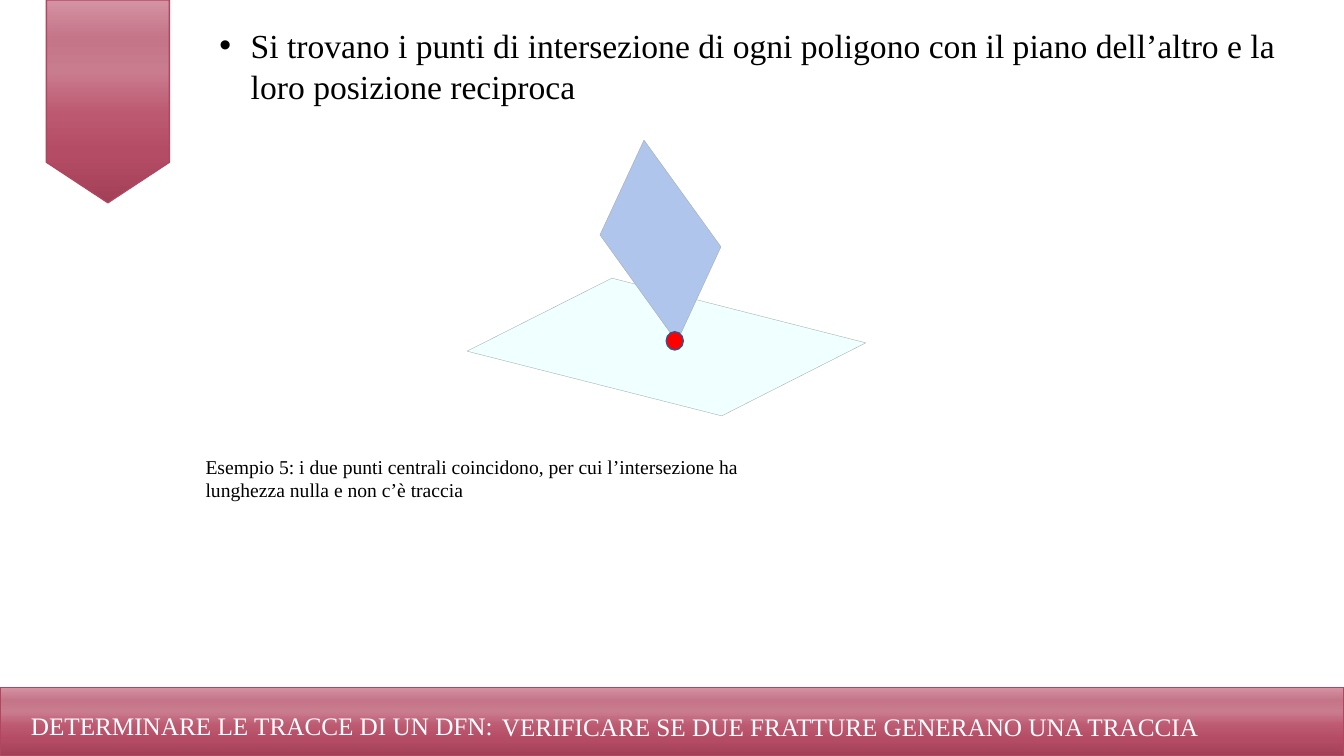
"""Build the slide on polygon intersections in a DFN."""
from dataclasses import dataclass

from lxml import etree
from pptx import Presentation
from pptx.dml.color import RGBColor
from pptx.enum.shapes import MSO_SHAPE
from pptx.oxml.ns import qn
from pptx.shapes.autoshape import Shape
from pptx.slide import Slide
from pptx.util import Cm, Pt

RIBBON = MSO_SHAPE.FLOWCHART_OFFPAGE_CONNECTOR
RECTANGLE = MSO_SHAPE.RECTANGLE
ELLIPSE = MSO_SHAPE.OVAL

WHITE = RGBColor(0xFF, 0xFF, 0xFF)
BLACK = RGBColor(0x00, 0x00, 0x00)
RED = RGBColor(0xFF, 0x00, 0x00)
NAVY = RGBColor(0x32, 0x54, 0x91)
CRIMSON = RGBColor(0xB0, 0x46, 0x5F)
GREY = RGBColor(0xA0, 0xAC, 0xAE)
PALE_CYAN = RGBColor(0xF0, 0xFF, 0xFF)
PERIWINKLE = RGBColor(0xB0, 0xC5, 0xEB)
CRIMSON_STOPS = (
    (0, RGBColor(0xA2, 0x40, 0x57)),
    (25, RGBColor(0xB4, 0x4C, 0x65)),
    (43, RGBColor(0xBC, 0x58, 0x70)),
    (65, RGBColor(0xCA, 0x7C, 0x8F)),
    (81, RGBColor(0xC5, 0x75, 0x88)),
    (99, RGBColor(0xD3, 0x91, 0xA1)),
)
FONT = "Times New Roman"


@dataclass(frozen=True)
class Box:
    """Position and size in centimetres."""
    left: float
    top: float
    width: float
    height: float

    def lengths(self) -> tuple[Cm, Cm, Cm, Cm]:
        """Return the four values as lengths."""
        return Cm(self.left), Cm(self.top), Cm(self.width), Cm(self.height)


@dataclass(frozen=True)
class Plane:
    """A fracture plane given by its corners in centimetres."""
    corners: tuple[tuple[float, float], ...]
    color: RGBColor


BANNERS = (
    (RIBBON, Box(1.17, 0, 3.1, 5.11)),
    (RECTANGLE, Box(0, 17.32, 33.87, 1.73)),
)
PLANES = (
    Plane(((15.42, 7.01), (21.82, 8.64), (18.19, 10.48), (11.77, 8.85)), PALE_CYAN),
    Plane(((16.23, 3.53), (18.17, 6.22), (17.06, 8.62), (15.12, 5.92)), PERIWINKLE),
)


def set_outline(shape: Shape, color: RGBColor, width: float) -> None:
    """Remove the shadow and set the line."""
    shape.shadow.inherit = False
    shape.line.color.rgb = color
    shape.line.width = Pt(width)


def draw_banner(slide: Slide, preset: MSO_SHAPE, box: Box) -> None:
    """Draw a shape with the crimson gradient."""
    banner = slide.shapes.add_shape(preset, *box.lengths())
    set_outline(banner, CRIMSON, 1)
    banner.fill.gradient()
    banner.fill.gradient_angle = 90
    stops = banner._element.spPr.find(".//" + qn("a:gsLst"))
    for stop in list(stops):
        stops.remove(stop)
    for percent, color in CRIMSON_STOPS:
        stop = etree.SubElement(stops, qn("a:gs"), pos=str(percent * 1000))
        etree.SubElement(stop, qn("a:srgbClr"), val=str(color))


def draw_plane(slide: Slide, plane: Plane) -> None:
    """Draw a fracture plane as a closed outline."""
    start, *others = [(Cm(x), Cm(y)) for x, y in plane.corners]
    builder = slide.shapes.build_freeform(*start)
    builder.add_line_segments(others, close=True)
    outline = builder.convert_to_shape()
    outline.fill.solid()
    outline.fill.fore_color.rgb = plane.color
    set_outline(outline, GREY, 0.25)


def add_text(slide: Slide, text: str, box: Box, *, size: float,
             color: RGBColor = BLACK, wrap: bool = True, bullet: bool = False) -> None:
    """Add a text box with one paragraph."""
    frame = slide.shapes.add_textbox(*box.lengths()).text_frame
    frame.word_wrap = wrap
    paragraph = frame.paragraphs[0]
    paragraph.text = text
    if bullet:
        properties = paragraph._p.get_or_add_pPr()
        properties.set("marL", str(Cm(0.79)))
        properties.set("indent", str(-Cm(0.79)))
        etree.SubElement(properties, qn("a:buFont"), typeface="Arial")
        etree.SubElement(properties, qn("a:buChar"), char="•")
    font = paragraph.runs[0].font
    font.name = FONT
    font.size = Pt(size)
    font.color.rgb = color


def main() -> None:
    """Create the slide and save it."""
    presentation = Presentation()
    presentation.slide_width = Cm(33.87)
    presentation.slide_height = Cm(19.05)
    slide = presentation.slides.add_slide(presentation.slide_layouts[6])

    for preset, box in BANNERS:
        draw_banner(slide, preset, box)
    add_text(slide, "DETERMINARE LE TRACCE DI UN DFN:",
             Box(0.53, 17.78, 19.58, 1.02), size=18, color=WHITE)
    add_text(slide, "VERIFICARE SE DUE FRATTURE GENERANO UNA TRACCIA",
             Box(12.4, 17.81, 18.24, 1.02), size=18, color=WHITE, wrap=False)
    add_text(slide, "Si trovano i punti di intersezione di ogni poligono con il piano "
             "dell’altro e la loro posizione reciproca",
             Box(5.28, 0.51, 27.23, 2.3), size=24, bullet=True)

    for plane in PLANES:
        draw_plane(slide, plane)
    contact = slide.shapes.add_shape(ELLIPSE, *Box(16.79, 8.36, 0.43, 0.46).lengths())
    contact.fill.solid()
    contact.fill.fore_color.rgb = RED
    set_outline(contact, NAVY, 1)

    add_text(slide, "Esempio 5: i due punti centrali coincidono, per cui l’intersezione "
             "ha lunghezza nulla e non c’è traccia",
             Box(4.93, 11.33, 15.88, 1.45), size=14)
    presentation.save("out.pptx")


if __name__ == "__main__":
    main()
